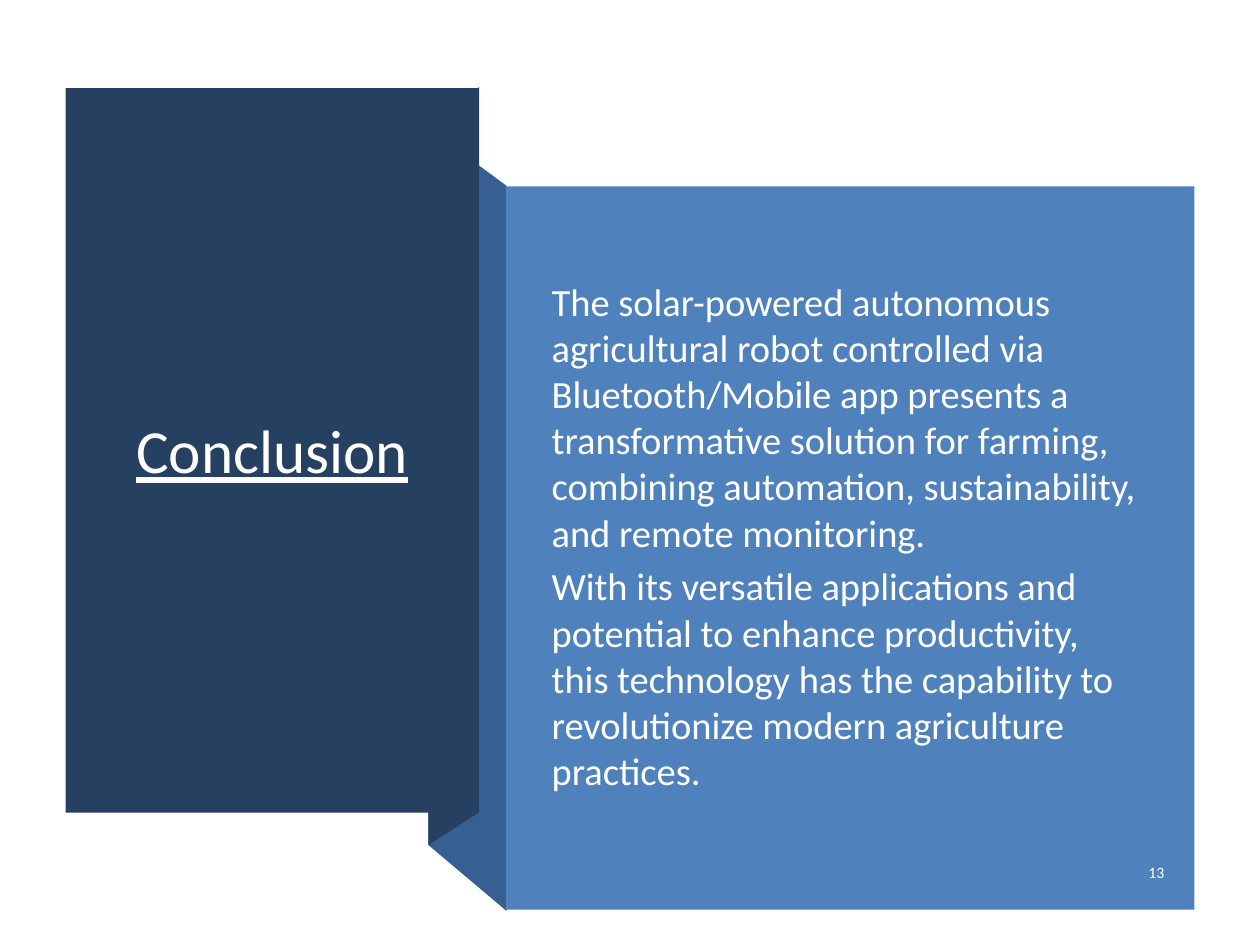
from pptx import Presentation, util as u
from pptx.dml.color import RGBColor
from pptx.enum import shapes, text

NAVY = RGBColor(0x25, 0x40, 0x61)
STEEL = RGBColor(0x37, 0x60, 0x92)
BLUE = RGBColor(0x4F, 0x81, 0xBD)
WHITE = RGBColor(0xFF, 0xFF, 0xFF)
FONT = "Calibri"
COLUMNS, ROWS = 100, 75
CELL = u.Inches(0.1)

FOLD_BOX = (34, 6.9, 6.2, 65.4)
TITLE_BOX = (5.2, 7, 32.8, 57.5)
BODY_BOX = (40.2, 14.8, 54.6, 57.4)

STATEMENTS = [
    "The solar-powered autonomous agricultural robot controlled via "
    "Bluetooth/Mobile app presents a transformative solution for farming, "
    "combining automation, sustainability, and remote monitoring.",
    "With its versatile applications and potential to enhance productivity, "
    "this technology has the capability to revolutionize modern agriculture "
    "practices.",
]


def inside(box, left, top, width, height):
    """Return the part of a box given by offsets and sizes in grid cells."""
    return box[0] + left, box[1] + top, width, height


def lengths(box):
    """Turn grid cells into slide lengths."""
    return [round(cells * CELL) for cells in box]


def paint(shape, color):
    """Fill a shape with a flat colour, without line or shadow."""
    shape.fill.solid()
    shape.fill.fore_color.rgb = color
    shape.line.fill.background()
    shape.shadow.inherit = False


def add_panel(page, box, color):
    """Draw a flat rectangle."""
    panel = page.shapes.add_shape(shapes.MSO_SHAPE.RECTANGLE, *lengths(box))
    paint(panel, color)


def add_facet(page, box, corners, color):
    """Draw a polygon whose corners are shares of the box."""
    left, top, width, height = lengths(box)
    points = [(round(left + x * width), round(top + y * height)) for x, y in corners]
    builder = page.shapes.build_freeform(*points[0])
    builder.add_line_segments(points[1:], close=True)
    paint(builder.convert_to_shape(), color)


def add_text(page, box, lines, size, align, before=0, after=0, underline=None):
    """Write white, vertically centred paragraphs."""
    frame = page.shapes.add_textbox(*lengths(box)).text_frame
    frame.word_wrap = True
    frame.vertical_anchor = text.MSO_ANCHOR.MIDDLE
    frame.text = "\n".join(lines)
    for para in frame.paragraphs:
        para.alignment = align
        para.space_before, para.space_after = u.Pt(before), u.Pt(after)
        para.font.name, para.font.size = FONT, u.Pt(size)
        para.font.color.rgb = WHITE
        para.font.underline = underline


def add_fold(page, box):
    """Draw the ribbon fold that joins the two panels."""
    add_facet(page, box, [(1, 1), (0, 0.92), (0, 0.05), (1, 0.12)], STEEL)
    add_facet(page, box, [(0.65, 0.88), (0, 0.92), (0, 0.05), (0.65, 0)], NAVY)


def add_title_panel(page, box):
    """Draw the dark panel with the slide title."""
    add_panel(page, box, NAVY)
    title_box = inside(box, 2.5, 3.7, 27.8, 49.9)
    add_text(page, title_box, ["Conclusion"], 35, text.PP_ALIGN.CENTER, underline=True)


def add_body_panel(page, box):
    """Draw the light panel with the statements and the page number."""
    add_panel(page, box, BLUE)
    body_box = inside(box, 2.6, 4, 48.8, 47.4)
    add_text(page, body_box, STATEMENTS, 22, text.PP_ALIGN.LEFT, before=4.4)
    number_box = inside(box, 47.6, 52.7, 5.6, 3.5)
    add_text(page, number_box, ["13"], 9, text.PP_ALIGN.RIGHT, after=6)


def main():
    """Build and save the deck."""
    deck = Presentation()
    deck.slide_width, deck.slide_height = COLUMNS * CELL, ROWS * CELL
    page = deck.slides.add_slide(deck.slide_layouts[6])
    add_fold(page, FOLD_BOX)
    add_title_panel(page, TITLE_BOX)
    add_body_panel(page, BODY_BOX)
    deck.save("out.pptx")


if __name__ == "__main__":
    main()
